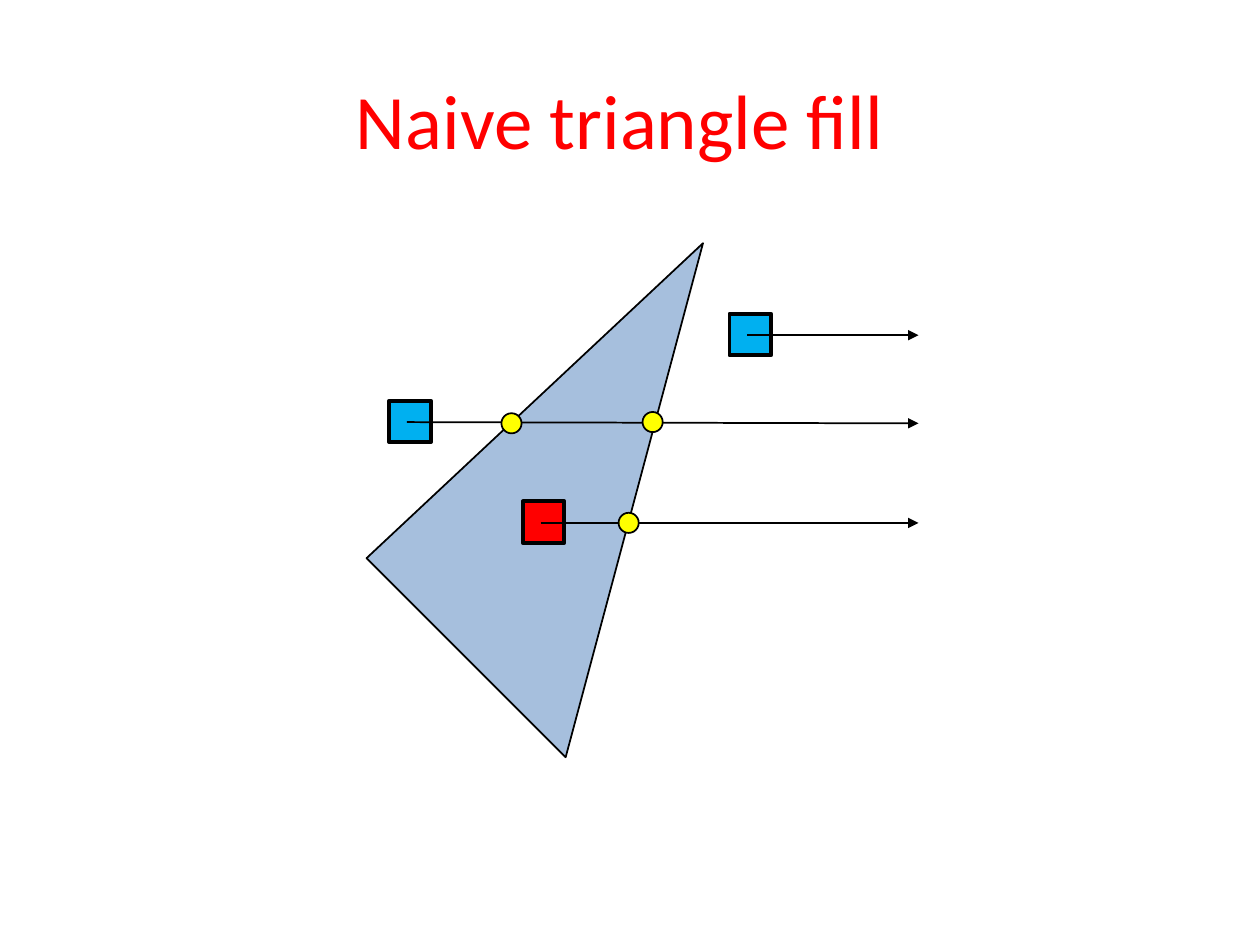
from lxml.etree import SubElement
from pptx import Presentation
from pptx.dml.color import RGBColor
from pptx.enum.shapes import MSO_CONNECTOR as CONN, MSO_SHAPE as SHAPE
from pptx.enum.text import MSO_ANCHOR as ANCHOR, PP_ALIGN as ALIGN
from pptx.oxml.ns import qn
from pptx.util import Inches, Pt

COLORS = {"title": "FF0000", "triangle": "4F81BD", "outside": "00B0F0",
          "inside": "FF0000", "hit": "FFFF00", "line": "000000"}
TITLE = "Naive triangle fill"
TRIANGLE = [(4.49, 6.01), (2.91, 4.43), (5.58, 1.93)]
PIXEL, HIT, RAY_END = 0.33, 0.16, 7.29
RAYS = [
    {"pixel": (3.09, 3.18), "kind": "outside", "start": (3.23, 3.35), "end_y": 3.36,
     "hits": [(3.98, 3.28), (5.1, 3.27)]},
    {"pixel": (4.15, 3.98), "kind": "inside", "start": (4.29, 4.15), "end_y": 4.15,
     "hits": [(4.91, 4.07)]},
    {"pixel": (5.79, 2.49), "kind": "outside", "start": (5.93, 2.66), "end_y": 2.66,
     "hits": []},
]


def rgb(name):
    return RGBColor.from_string(COLORS[name])


def paint(sp, fill, width):
    sp.shadow.inherit = False
    sp.fill.solid()
    sp.fill.fore_color.rgb = rgb(fill)
    sp.line.color.rgb = rgb("line")
    sp.line.width = Pt(width)


def add_mark(s, kind, pos, size, fill, width):
    sp = s.shapes.add_shape(kind, *map(Inches, (*pos, size, size)))
    paint(sp, fill, width)


def add_triangle(s):
    builder = s.shapes.build_freeform(*map(Inches, TRIANGLE[0]), scale=1.0)
    builder.add_line_segments([tuple(map(Inches, pt)) for pt in TRIANGLE[1:]], close=True)
    sp = builder.convert_to_shape()
    paint(sp, "triangle", 1)
    color = sp._element.spPr.find(qn("a:solidFill"))[0]
    SubElement(color, qn("a:alpha"), val="50000")


def add_arrow(s, start, end):
    cx = s.shapes.add_connector(CONN.STRAIGHT, *map(Inches, (*start, *end)))
    cx.line.color.rgb = rgb("line")
    cx.line.width = Pt(1)
    SubElement(cx.line._get_or_add_ln(), qn("a:tailEnd"), type="triangle")
    SubElement(cx._element.spPr, qn("a:effectLst"))


def add_title(s):
    sp = s.shapes.title
    sp.left, sp.top, sp.width, sp.height = map(Inches, (-0.16, 0.32, 10.16, 1.25))
    tf = sp.text_frame
    tf.vertical_anchor = ANCHOR.MIDDLE
    p = tf.paragraphs[0]
    p.alignment = ALIGN.CENTER
    r = p.add_run()
    r.text = TITLE
    r.font.name, r.font.size = "Calibri", Pt(44)
    r.font.color.rgb = rgb("title")


def main():
    """Build the slide on filling a triangle by counting ray crossings."""
    prs = Presentation()
    prs.slide_width, prs.slide_height = Inches(10), Inches(7.5)
    s = prs.slides.add_slide(prs.slide_layouts[5])
    add_title(s)
    add_triangle(s)
    for ray in RAYS:
        add_mark(s, SHAPE.RECTANGLE, ray["pixel"], PIXEL, ray["kind"], 2.25)
        add_arrow(s, ray["start"], (RAY_END, ray["end_y"]))
        for pos in ray["hits"]:
            add_mark(s, SHAPE.OVAL, pos, HIT, "hit", 1)
    prs.save("out.pptx")


if __name__ == "__main__":
    main()
